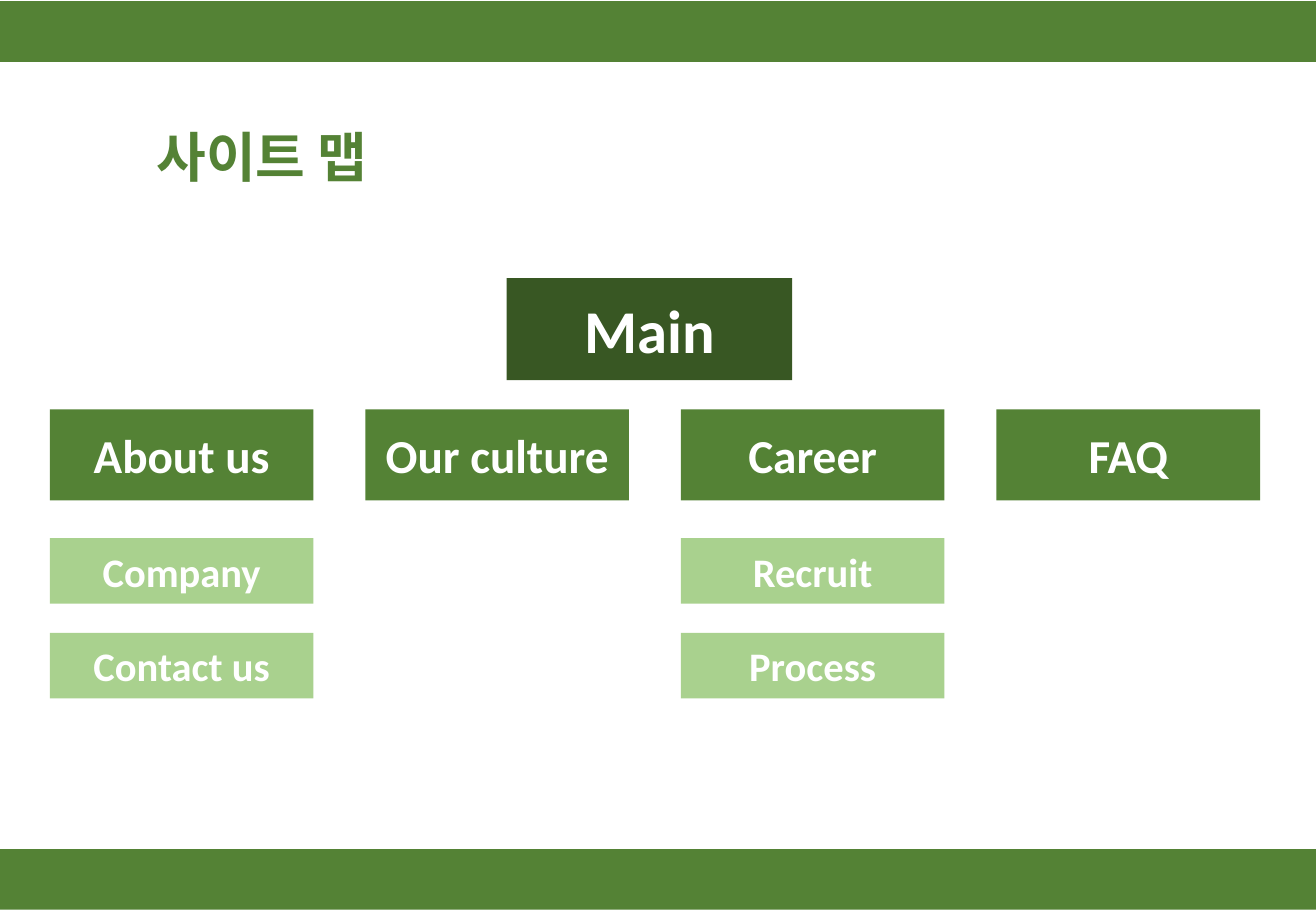
from lxml import etree
from pptx import Presentation
from pptx.dml.color import RGBColor
from pptx.enum.shapes import MSO_SHAPE
from pptx.enum.text import MSO_ANCHOR, MSO_AUTO_SIZE, PP_ALIGN
from pptx.oxml.ns import qn
from pptx.util import Inches, Pt

SLIDE_W, SLIDE_H = 10.83, 7.5
BAND_H = 0.5
BAND_TOPS = (0.01, 6.99)

GREEN, DARK_GREEN, LIGHT_GREEN, WHITE = "548235", "385723", "A9D18E", "FFFFFF"
LATIN_FONT, KOREAN_FONT = "Calibri", "Noto Sans CJK KR"

FIRST_LEFT, LAST_LEFT = 0.41, 8.2
MENU_W, MENU_TOP, MENU_H = 2.17, 3.37, 0.75
PAGE_TOP, PAGE_H, PAGE_PITCH = 4.43, 0.54, 0.78

SITE_MAP = {
    "About us": ["Company", "Contact us"],
    "Our culture": [],
    "Career": ["Recruit", "Process"],
    "FAQ": [],
}
COLUMN_PITCH = (LAST_LEFT - FIRST_LEFT) / (len(SITE_MAP) - 1)


def color(hex_value):
    return RGBColor.from_string(hex_value)


def style_text(paragraph, font_name, size, hex_value):
    for run in paragraph.runs:
        run.font.name = font_name
        run.font.size = Pt(size)
        run.font.bold = True
        run.font.color.rgb = color(hex_value)
        east_asian = etree.SubElement(run.font._element, qn("a:ea"))
        east_asian.set("typeface", font_name)


def add_block(slide, left, top, width, height, fill):
    block = slide.shapes.add_shape(
        MSO_SHAPE.RECTANGLE, Inches(left), Inches(top), Inches(width), Inches(height)
    )
    block.shadow.inherit = False
    block.fill.solid()
    block.fill.fore_color.rgb = color(fill)
    block.line.fill.background()
    return block


def add_node(slide, label, left, top, width, height, fill, size):
    frame = add_block(slide, left, top, width, height, fill).text_frame
    frame.text = label
    frame.vertical_anchor = MSO_ANCHOR.MIDDLE
    frame.paragraphs[0].alignment = PP_ALIGN.CENTER
    style_text(frame.paragraphs[0], LATIN_FONT, size, WHITE)


def add_title(slide, title):
    frame = slide.shapes.add_textbox(
        Inches(1.19), Inches(0.97), Inches(2.02), Inches(0.64)
    ).text_frame
    frame.word_wrap = False
    frame.auto_size = MSO_AUTO_SIZE.SHAPE_TO_FIT_TEXT
    frame.text = title
    style_text(frame.paragraphs[0], KOREAN_FONT, 32, GREEN)


def add_site_map(slide):
    add_node(slide, "Main", 4.17, 2.29, 2.35, 0.84, DARK_GREEN, 36)
    for column, (menu, pages) in enumerate(SITE_MAP.items()):
        left = FIRST_LEFT + column * COLUMN_PITCH
        add_node(slide, menu, left, MENU_TOP, MENU_W, MENU_H, GREEN, 28)
        for row, page in enumerate(pages):
            top = PAGE_TOP + row * PAGE_PITCH
            add_node(slide, page, left, top, MENU_W, PAGE_H, LIGHT_GREEN, 24)


def main():
    deck = Presentation()
    deck.slide_width, deck.slide_height = Inches(SLIDE_W), Inches(SLIDE_H)
    slide = deck.slides.add_slide(deck.slide_layouts[6])
    for top in BAND_TOPS:
        add_block(slide, 0, top, SLIDE_W, BAND_H, GREEN)
    add_title(slide, "사이트 맵")
    add_site_map(slide)
    deck.save("out.pptx")


if __name__ == "__main__":
    main()
